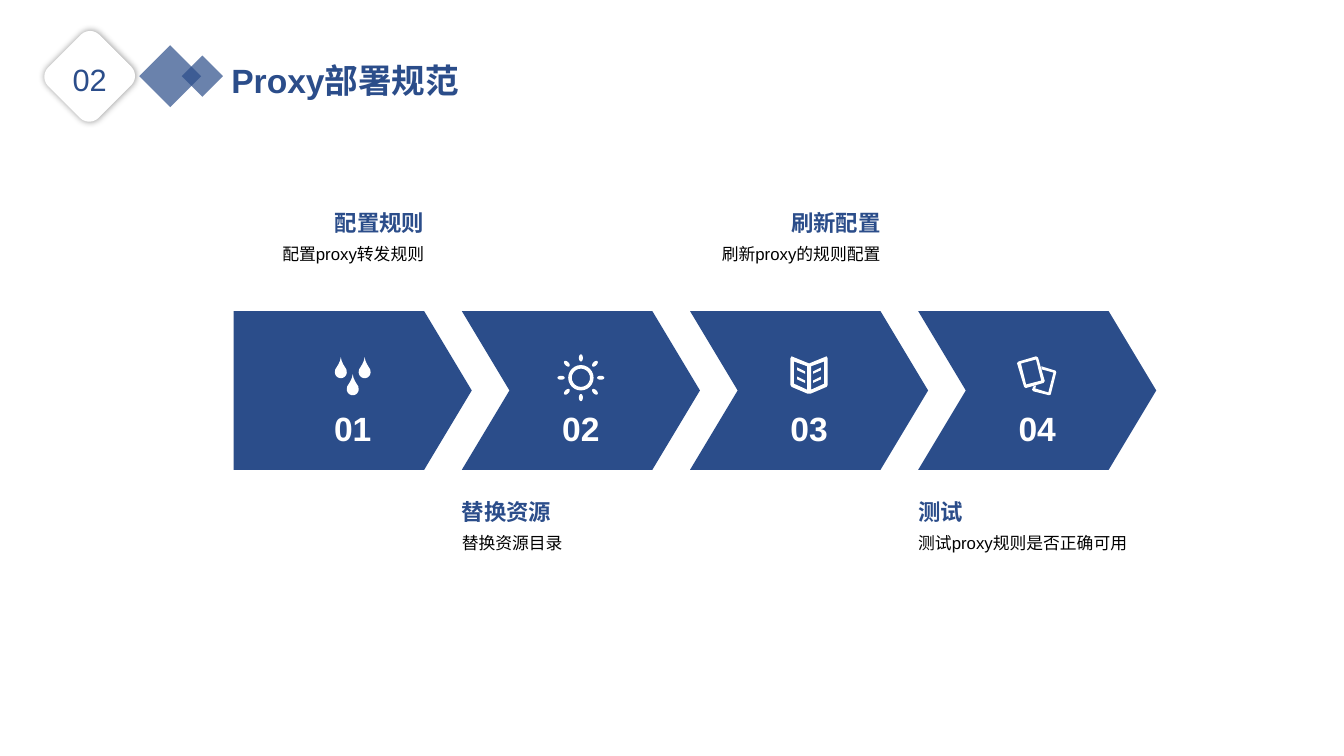
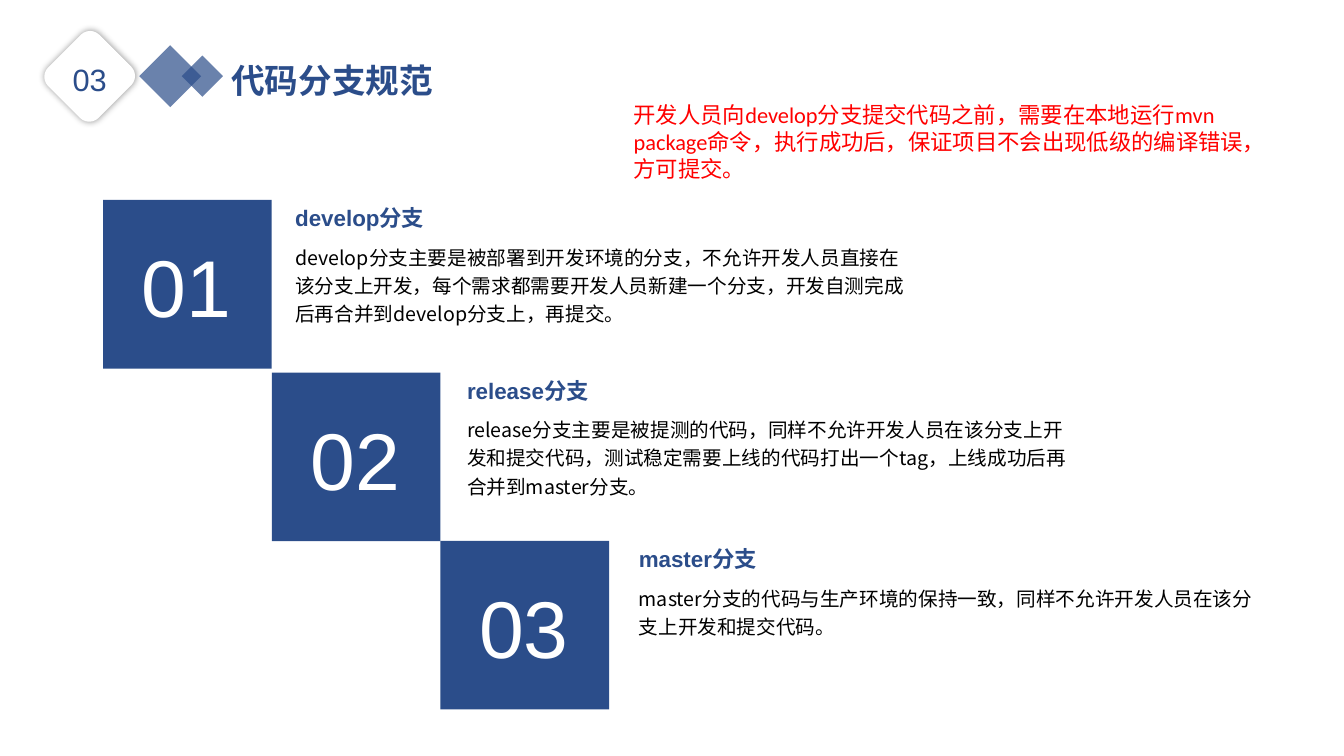
import dataclasses
import itertools
import math

import pptx
import pptx.dml.color
import pptx.enum.shapes
import pptx.enum.text
import pptx.oxml
import pptx.oxml.ns
import pptx.util

Cm = pptx.util.Cm
Pt = pptx.util.Pt
Kind = pptx.enum.shapes.MSO_SHAPE
Align = pptx.enum.text.PP_ALIGN
Anchor = pptx.enum.text.MSO_ANCHOR


@dataclasses.dataclass(frozen=True)
class Theme:
    navy: str = "2B4D8A"
    white: str = "FFFFFF"
    black: str = "000000"
    red: str = "FF0000"
    font: str = "Arial"
    sans: str = "Noto Sans CJK SC"
    note: str = "Calibri"
    small: float = 12
    body: float = 14
    head: float = 16
    badge: float = 22
    title: float = 24
    huge: float = 57.5


theme = Theme()

STEPS = [
    ("配置规则", "配置proxy转发规则"),
    ("替换资源", "替换资源目录"),
    ("刷新配置", "刷新proxy的规则配置"),
    ("测试", "测试proxy规则是否正确可用"),
]
STEP_LEFT, STEP_TOP, STEP_GAP = 5.89, 7.84, 5.75
STEP_WIDE, STEP_HIGH, POINT = 6, 4, 1.2

BRANCHES = [
    (5.04, "develop分支", "develop分支主要是被部署到开发环境的分支，不允许开发人员直接在该分支上开发，"
     "每个需求都需要开发人员新建一个分支，开发自测完成后再合并到develop分支上，再提交。"),
    (9.39, "release分支", "release分支主要是被提测的代码，同样不允许开发人员在该分支上开发和提交代码，"
     "测试稳定需要上线的代码打出一个tag，上线成功后再合并到master分支。"),
    (13.63, "master分支", "master分支的代码与生产环境的保持一致，同样不允许开发人员在该分支上开发和提交代码。"),
]
SIDE = 4.25
WARNING = ("开发人员向develop分支提交代码之前，需要在本地运行mvn package命令，"
           "执行成功后，保证项目不会出现低级的编译错误，方可提交。")


def tint(name):
    return pptx.dml.color.RGBColor.from_string(name)


def write(frame, text, *, size, color=theme.navy, bold=False, font=theme.font,
          align=Align.LEFT, anchor=Anchor.TOP, line=1.2, before=2.8, pad=(0, 0, 0, 0)):
    frame.word_wrap = True
    frame.auto_size = pptx.enum.text.MSO_AUTO_SIZE.NONE
    frame.vertical_anchor = anchor
    frame.margin_left, frame.margin_top, frame.margin_right, frame.margin_bottom = map(Cm, pad)
    par = frame.paragraphs[0]
    par.alignment = align
    par.line_spacing = line
    par.space_before = Pt(before)
    run = par.add_run()
    run.text = text
    run.font.name = font
    run.font.size = Pt(size)
    run.font.bold = bold
    run.font.color.rgb = tint(color)


def label(slide, text, left, top, width, height, **style):
    box = slide.shapes.add_textbox(Cm(left), Cm(top), Cm(width), Cm(height))
    write(box.text_frame, text, **style)


def paint(shape, color):
    shape.shadow.inherit = False
    shape.fill.solid()
    shape.fill.fore_color.rgb = tint(color)
    shape.line.fill.background()


def block(slide, kind, left, top, width, height, color=theme.navy, turn=0, bend=None):
    shape = slide.shapes.add_shape(kind, Cm(left), Cm(top), Cm(width), Cm(height))
    paint(shape, color)
    shape.rotation = turn
    if bend is not None:
        shape.adjustments[0] = bend
    return shape


def outline(slide, x, y, loops):
    grid = [[(round(a * 1000), round(b * 1000)) for a, b in loop] for loop in loops]
    maker = slide.shapes.build_freeform(*grid[0][0], scale=Cm(0.001))
    for spot, loop in enumerate(grid):
        if spot:
            maker.move_to(*loop[0])
        maker.add_line_segments(loop[1:], close=True)
    paint(maker.convert_to_shape(Cm(x), Cm(y)), theme.white)


def fade(shape, amount):
    color = shape.fill.fore_color._xFill[0]
    alpha = pptx.oxml.parse_xml(
        f'<a:alpha {pptx.oxml.ns.nsdecls("a")} val="{amount * 1000}"/>')
    color.append(alpha)


def glow(shape):
    effect = shape.element.spPr.find(pptx.oxml.ns.qn("a:effectLst"))
    effect.append(pptx.oxml.parse_xml(
        f'<a:outerShdw {pptx.oxml.ns.nsdecls("a")} blurRad="63500" dist="0" dir="0">'
        f'<a:srgbClr val="{theme.black}"><a:alpha val="40000"/></a:srgbClr></a:outerShdw>'))


def start(deck, number, text):
    slide = deck.slides.add_slide(deck.slide_layouts[5])
    badge = block(slide, Kind.ROUNDED_RECTANGLE, 1.41, 1.06, 1.7, 1.73,
                  color=theme.white, turn=45)
    badge.line.color.rgb = tint(theme.white)
    badge.line.width = Pt(2.75)
    glow(badge)
    label(slide, number, 1.42, 1.35, 1.68, 1.12, size=theme.badge, align=Align.CENTER)
    for left, size in ((3.51, 1.56), (4.58, 1.04)):
        fade(block(slide, Kind.DIAMOND, left, 1.92 - size / 2, size, size), 70)
    title = slide.shapes.title
    title.left, title.top, title.width, title.height = map(Cm, (5.58, 1.18, 7.4, 1.45))
    write(title.text_frame, text, size=theme.title, bold=True,
          pad=(0.25, 0.13, 0.25, 0.13))
    return slide


def curve(x, y, wide, high, turn=0, sweep=360):
    tilt = math.radians(turn)
    loop = []
    for angle in range(0, sweep + 1, 15):
        a = wide * math.cos(math.radians(angle))
        b = high * math.sin(math.radians(angle))
        loop.append((x + a * math.cos(tilt) - b * math.sin(tilt),
                     y + a * math.sin(tilt) + b * math.cos(tilt)))
    return loop


def drops(slide, x):
    flank = [(0.14, 0.31), (0.06, 0.18), (0.02, 0.09)]
    drop = (curve(0, 0.38, 0.15, 0.15, sweep=180) + [(-a, b) for a, b in flank]
            + [(0, 0)] + flank[::-1])
    spots = ((-0.3, 0), (0.3, 0), (0, 0.43))
    outline(slide, x, 9, [[(a + right, b + down) for a, b in drop]
                          for right, down in spots])


def sun(slide, x):
    loops = [curve(0, 0, size, size) for size in (0.32, 0.23)]
    for turn in range(0, 360, 45):
        angle = math.radians(turn)
        loops.append(curve(0.5 * math.cos(angle), 0.5 * math.sin(angle),
                           0.09, 0.05, turn))
    outline(slide, x, 9.52, loops)


def book(slide, x):
    cover = [(-0.44, 0), (0, 0.18), (0.44, 0), (0.47, 0.05), (0.47, 0.72),
             (0.44, 0.77), (0.04, 0.94), (-0.04, 0.94), (-0.44, 0.77),
             (-0.47, 0.72), (-0.47, 0.05)]
    page = [(0.38, 0.13), (0.05, 0.25), (0.05, 0.84), (0.38, 0.69)]
    row = [(0.3, 0.28), (0.1, 0.38), (0.1, 0.44), (0.3, 0.35)]
    next_row = [(a, b + 0.23) for a, b in row]
    sides = [[(sign * a, b) for a, b in loop]
             for sign, loop in itertools.product((-1, 1), (page, row, next_row))]
    outline(slide, x, 8.98, [cover] + sides)


def cards(slide, x):
    outline(slide, x, 8.98, [
        [(-0.47, 0.13), (-0.03, 0), (0.02, 0.03), (0.19, 0.62), (0.16, 0.67),
         (-0.29, 0.8), (-0.33, 0.77), (-0.51, 0.17)],
        [(-0.41, 0.18), (-0.03, 0.08), (0.1, 0.61), (-0.28, 0.71)],
        [(0.1, 0.25), (0.46, 0.36), (0.48, 0.4), (0.34, 0.96), (0.3, 0.98),
         (-0.1, 0.88), (-0.13, 0.84), (-0.1, 0.76), (-0.03, 0.74),
         (-0.05, 0.81), (0.28, 0.91), (0.41, 0.41), (0.12, 0.33)],
    ])


def process(deck):
    slide = start(deck, "02", "Proxy部署规范")
    icons = (drops, sun, book, cards)
    for spot, ((head, body), icon) in enumerate(zip(STEPS, icons)):
        left = STEP_LEFT + spot * STEP_GAP
        middle = left + STEP_WIDE / 2
        kind = Kind.CHEVRON if spot else Kind.PENTAGON
        block(slide, kind, left, STEP_TOP, STEP_WIDE, STEP_HIGH, bend=POINT / STEP_HIGH)
        icon(slide, middle)
        label(slide, f"{spot + 1:02}", middle - 2, 10.08, 4, 0.74, size=theme.title,
              color=theme.white, bold=True, align=Align.CENTER)
        above = spot % 2 == 0
        top = 5.13 if above else 12.42
        align = Align.RIGHT if above else Align.LEFT
        edge = left + STEP_WIDE - POINT
        for text, down, width, height, style in (
                (head, 0, 3.6, 0.81, {"size": theme.head, "bold": True}),
                (body, 0.9, 6.48, 0.61, {"size": theme.small, "color": theme.black})):
            label(slide, text, edge - width if above else left, top + down,
                  width, height, align=align, **style)


def branches(deck):
    slide = start(deck, "03", "代码分支规范")
    for spot, (top, head, body) in enumerate(BRANCHES):
        square = block(slide, Kind.RECTANGLE, 2.6 + spot * SIDE, top, SIDE, SIDE)
        write(square.text_frame, f"{spot + 1:02}", size=theme.huge, color=theme.white,
              align=Align.CENTER, anchor=Anchor.MIDDLE, line=1, before=0,
              pad=(0, 0.07, 0.05, 0))
        left = 7.44 + spot * 4.33
        label(slide, head, left, top - 0.02, 3.6, 0.81, size=theme.head, bold=True)
        label(slide, body, left, top + 1.03, 15.52, 2.16, size=theme.body,
              color=theme.black, font=theme.sans)
    label(slide, WARNING, 15.72, 2.43, 16.81, 2.31, size=theme.head, color=theme.red,
          font=theme.note, line=1, before=0, pad=(0.25, 0.13, 0.25, 0.13))


def main():
    deck = pptx.Presentation()
    deck.slide_width, deck.slide_height = Cm(33.87), Cm(19.05)
    process(deck)
    branches(deck)
    deck.save("out.pptx")


if __name__ == "__main__":
    main()
